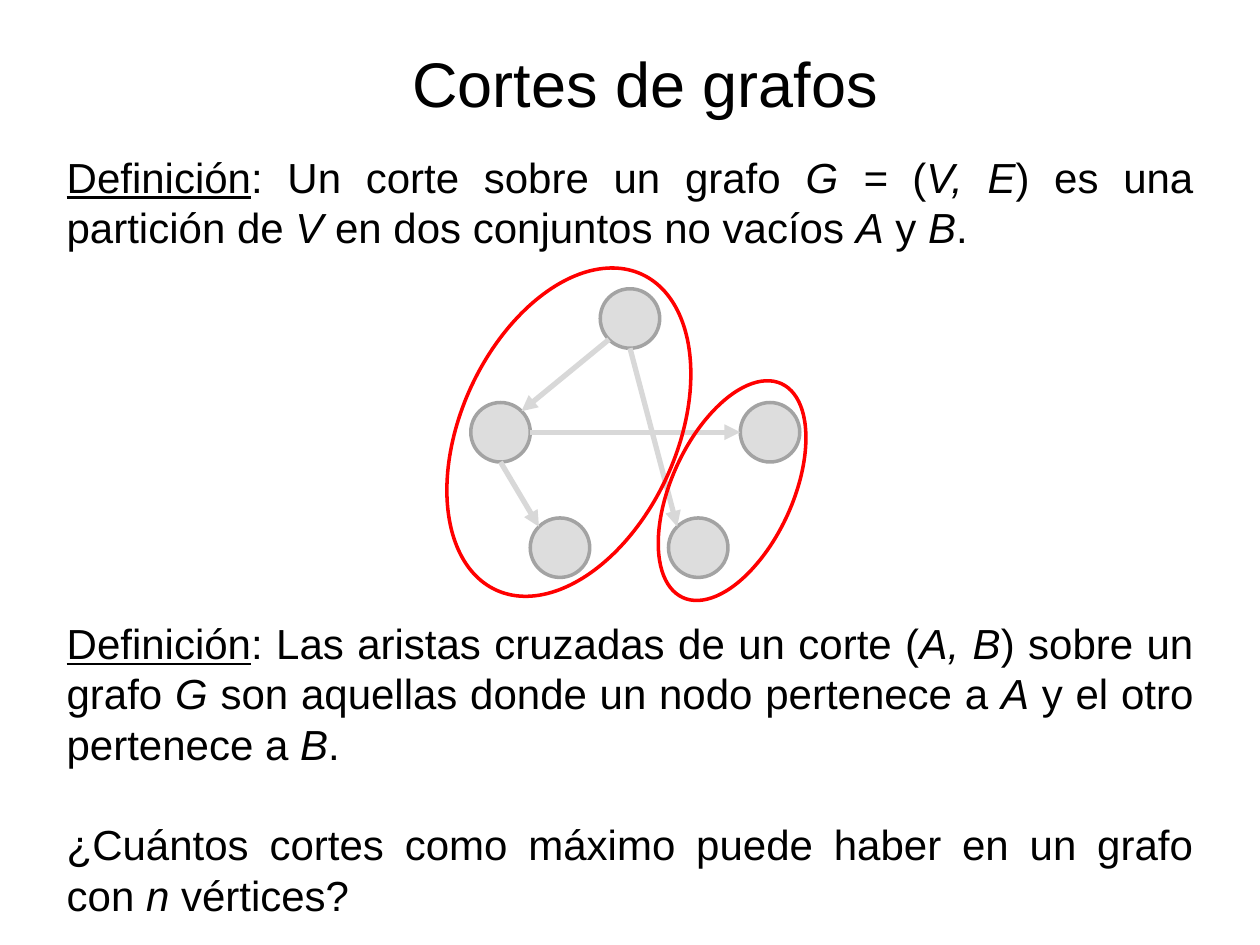
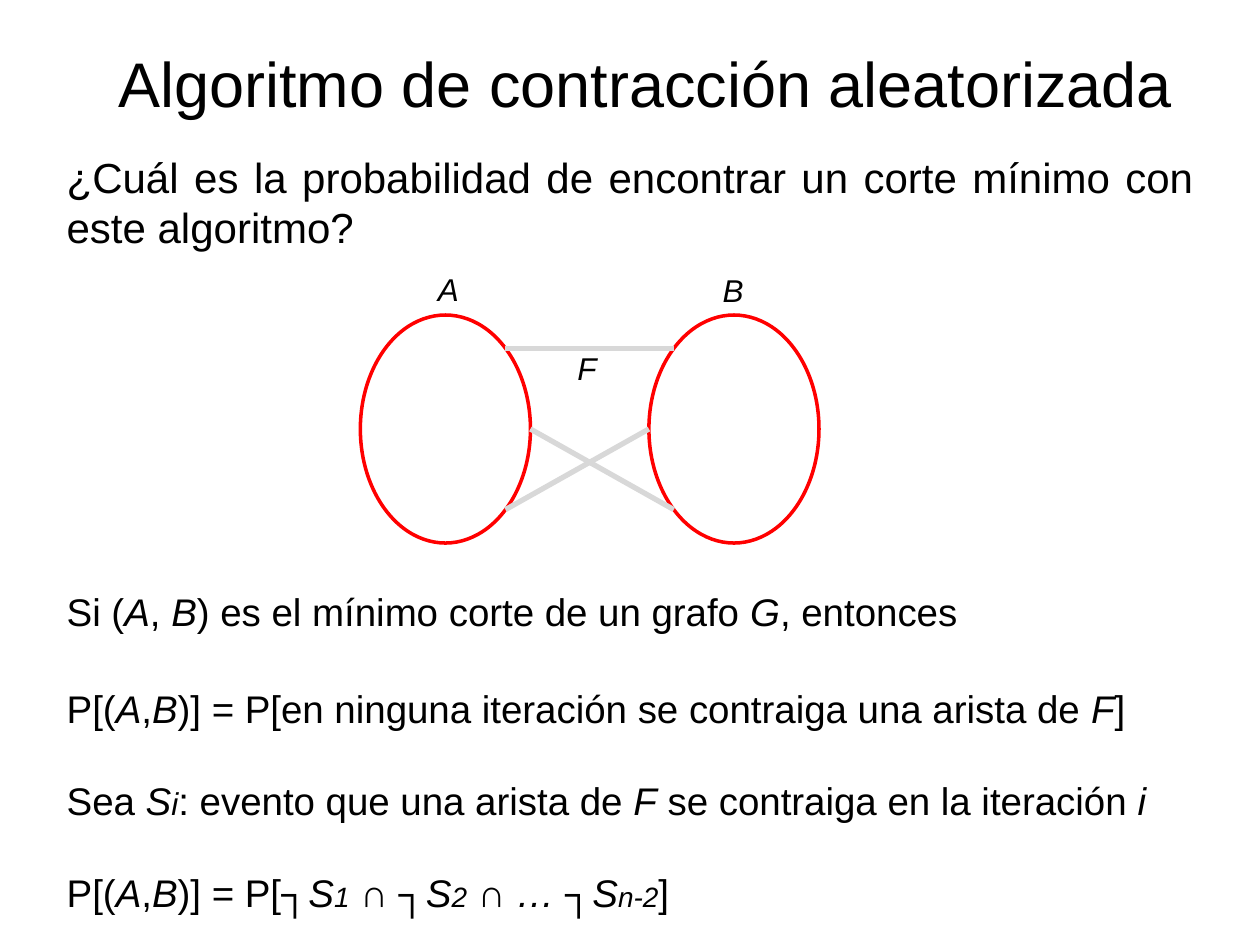
from math import hypot

from pptx import Presentation
from pptx.dml.color import RGBColor
from pptx.enum.shapes import MSO_CONNECTOR, MSO_SHAPE
from pptx.enum.text import MSO_ANCHOR as Anchor, PP_ALIGN as Align
from pptx.oxml.ns import qn
from pptx.util import Pt
from lxml.etree import SubElement

BLACK = RGBColor(0x00, 0x00, 0x00)
NODE_FILL = RGBColor(0xDD, 0xDD, 0xDD)
NODE_EDGE = RGBColor(0xA3, 0xA3, 0xA3)
EDGE_GRAY = RGBColor(0xD8, 0xD8, 0xD8)
CUT_RED = RGBColor(0xFF, 0x00, 0x00)

FONT = "Arial"
LEADING = 1.2
TITLE_BOX = (59.8, 15.1, 617.8, 56.9)
INTRO_BOX = (31, 82.8, 658, 67.7)
MARKS = {
    "/": {"italic": True},
    "_": {"underline": True},
    "~": {"italic": True, "size": Pt(16)},
    "^": {"italic": True, "size": Pt(18)},
}


def apply_format(target, values):
    for name, value in values.items():
        setattr(target, name, value)


def add_runs(paragraph, marked_text, size):
    for piece in marked_text.split("|"):
        mark = MARKS.get(piece[0], {})
        run = paragraph.add_run()
        run.text = piece[1:] if mark else piece
        apply_format(run.font, {"name": FONT, "size": Pt(size), **mark})
        run.font.color.rgb = BLACK


def add_text(slide, box, lines, size, align=Align.JUSTIFY, anchor=Anchor.TOP, gaps=()):
    frame = slide.shapes.add_textbox(*map(Pt, box)).text_frame
    apply_format(frame, {"word_wrap": True, "vertical_anchor": anchor})
    for index, line in enumerate(lines):
        paragraph = frame.add_paragraph() if index else frame.paragraphs[0]
        gap = gaps[index - 1] if index and gaps else 0
        apply_format(paragraph, {
            "alignment": align,
            "line_spacing": Pt(LEADING * size),
            "space_before": Pt(LEADING * gap),
        })
        add_runs(paragraph, line, size)


def add_heading(slide, title, intro):
    add_text(slide, TITLE_BOX, [title], 36, Align.CENTER, Anchor.BOTTOM)
    add_text(slide, INTRO_BOX, [intro], 24)


def add_ellipse(slide, box, line_color, fill_color=None, rotation=0):
    ellipse = slide.shapes.add_shape(MSO_SHAPE.OVAL, *map(Pt, box))
    apply_format(ellipse, {"rotation": rotation})
    ellipse.shadow.inherit = False
    if fill_color is None:
        ellipse.fill.background()
    else:
        ellipse.fill.solid()
        ellipse.fill.fore_color.rgb = fill_color
    ellipse.line.color.rgb = line_color
    ellipse.line.width = Pt(2)


def rim_point(box, direction):
    left, top, width, height = box
    dx, dy = direction
    reach = 2 * hypot(dx, dy)
    return left + width / 2 + width * dx / reach, top + height / 2 + height * dy / reach


def add_edge(slide, start, end, arrow=False):
    edge = slide.shapes.add_connector(MSO_CONNECTOR.STRAIGHT, *map(Pt, (*start, *end)))
    edge.line.color.rgb = EDGE_GRAY
    edge.line.width = Pt(3)
    if arrow:
        SubElement(edge.line._get_or_add_ln(), qn("a:tailEnd"), type="triangle")
    SubElement(edge._element.spPr, qn("a:effectLst"))


UP, DOWN, LEFT, RIGHT = (0, -1), (0, 1), (-1, 0), (1, 0)
UP_LEFT, UP_RIGHT, DOWN_LEFT, DOWN_RIGHT = (-1, -1), (1, -1), (-1, 1), (1, 1)


def draw_cut_graph(slide, x, y):
    diameter = 34
    centers = {
        "top": (100, 42),
        "west": (26, 107),
        "east": (180, 107),
        "southwest": (60, 173),
        "southeast": (139, 173),
    }
    nodes = {
        name: (x + cx - diameter / 2, y + cy - diameter / 2, diameter, diameter)
        for name, (cx, cy) in centers.items()
    }
    for node in nodes.values():
        add_ellipse(slide, node, NODE_EDGE, NODE_FILL)
    for source, exit_side, target, entry_side in (
        ("west", DOWN, "southwest", UP_LEFT),
        ("top", DOWN_LEFT, "west", UP_RIGHT),
        ("west", RIGHT, "east", LEFT),
        ("top", DOWN, "southeast", UP_LEFT),
    ):
        start = rim_point(nodes[source], exit_side)
        add_edge(slide, start, rim_point(nodes[target], entry_side), arrow=True)
    for dx, dy, width, height in ((123.8, 73.1, 69.1, 134.6), (3.5, 7.6, 123.1, 198.7)):
        add_ellipse(slide, (x + dx, y + dy, width, height), CUT_RED, rotation=24.8)


def draw_two_sets(slide, x, y):
    set_a, set_b = [(x + dx, y + 30, 97.2, 130.3) for dx in (5.9, 170.8)]
    for vertex_set in (set_a, set_b):
        add_ellipse(slide, vertex_set, CUT_RED)
    for side_a, side_b in ((RIGHT, DOWN_LEFT), (DOWN_RIGHT, LEFT), (UP_RIGHT, UP_LEFT)):
        add_edge(slide, rim_point(set_a, side_a), rim_point(set_b, side_b))
    for label, dx, dy in (("A", 23.9, 0.5), ("B", 186.6, 1.2), ("F", 103.1, 45.8)):
        add_text(slide, (x + dx, y + dy, 64.8, 28.8), ["/" + label], 18, Align.CENTER)


def build_graph_cuts(slide):
    add_heading(
        slide,
        "Cortes de grafos",
        "_Definición|: Un corte sobre un grafo |/G = |(|/V, E|) es una partición de "
        "|/V| en dos conjuntos no vacíos |/A| y |/B|.",
    )
    draw_cut_graph(slide, 260, 140)
    add_text(slide, (31, 349.2, 658, 190.8), [
        "_Definición|: Las aristas cruzadas de un corte (|/A, B|) sobre un grafo |/G "
        "|son aquellas donde un nodo pertenece a |/A| y el otro pertenece a |/B|.",
        "¿Cuántos cortes como máximo puede haber en un grafo con |/n| vértices?",
    ], 24, gaps=(24,))


def build_random_contraction(slide):
    add_heading(
        slide,
        "Algoritmo de contracción aleatorizada",
        "¿Cuál es la probabilidad de encontrar un corte mínimo con este algoritmo?",
    )
    draw_two_sets(slide, 200, 150)
    add_text(slide, (31, 332.6, 658, 198.7), [
        "Si (|/A|, |/B|) es el mínimo corte de un grafo |/G|, entonces",
        "P[(|/A|,|/B|)] = P[en ninguna iteración se contraiga una arista de |/F|]",
        "Sea |/S|^i|: evento que una arista de |/F| se contraiga en la iteración |/i",
        "P[(|/A|,|/B|)] = P[|/┐S|~1|/ ∩ ┐S|~2|/ ∩ … ┐S|~n-2|]",
    ], 22, gaps=(24, 22, 22))


def main():
    deck = Presentation()
    apply_format(deck, {"slide_width": Pt(720), "slide_height": Pt(540)})
    for build in (build_graph_cuts, build_random_contraction):
        build(deck.slides.add_slide(deck.slide_layouts[6]))
    deck.save("out.pptx")


if __name__ == "__main__":
    main()
